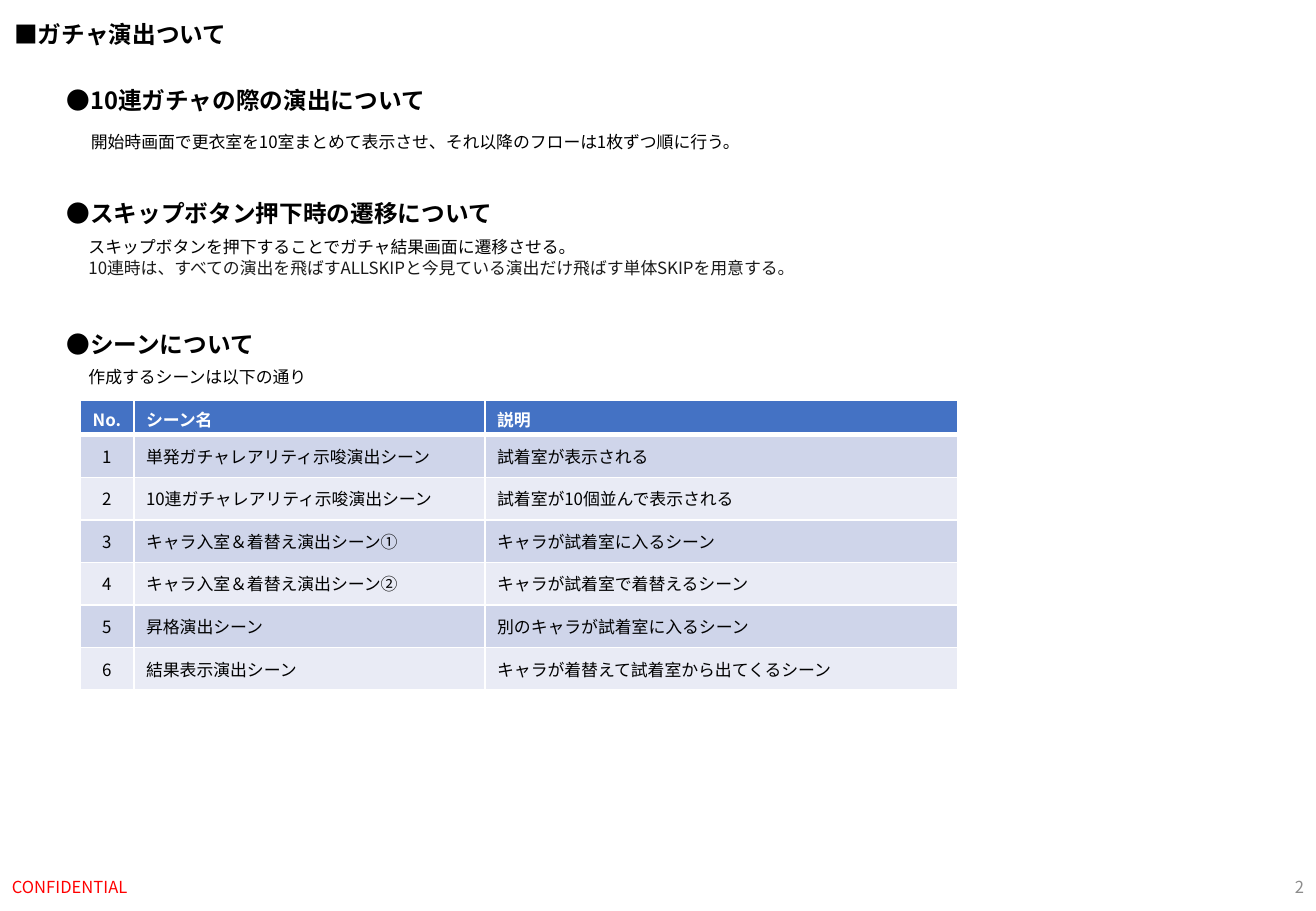
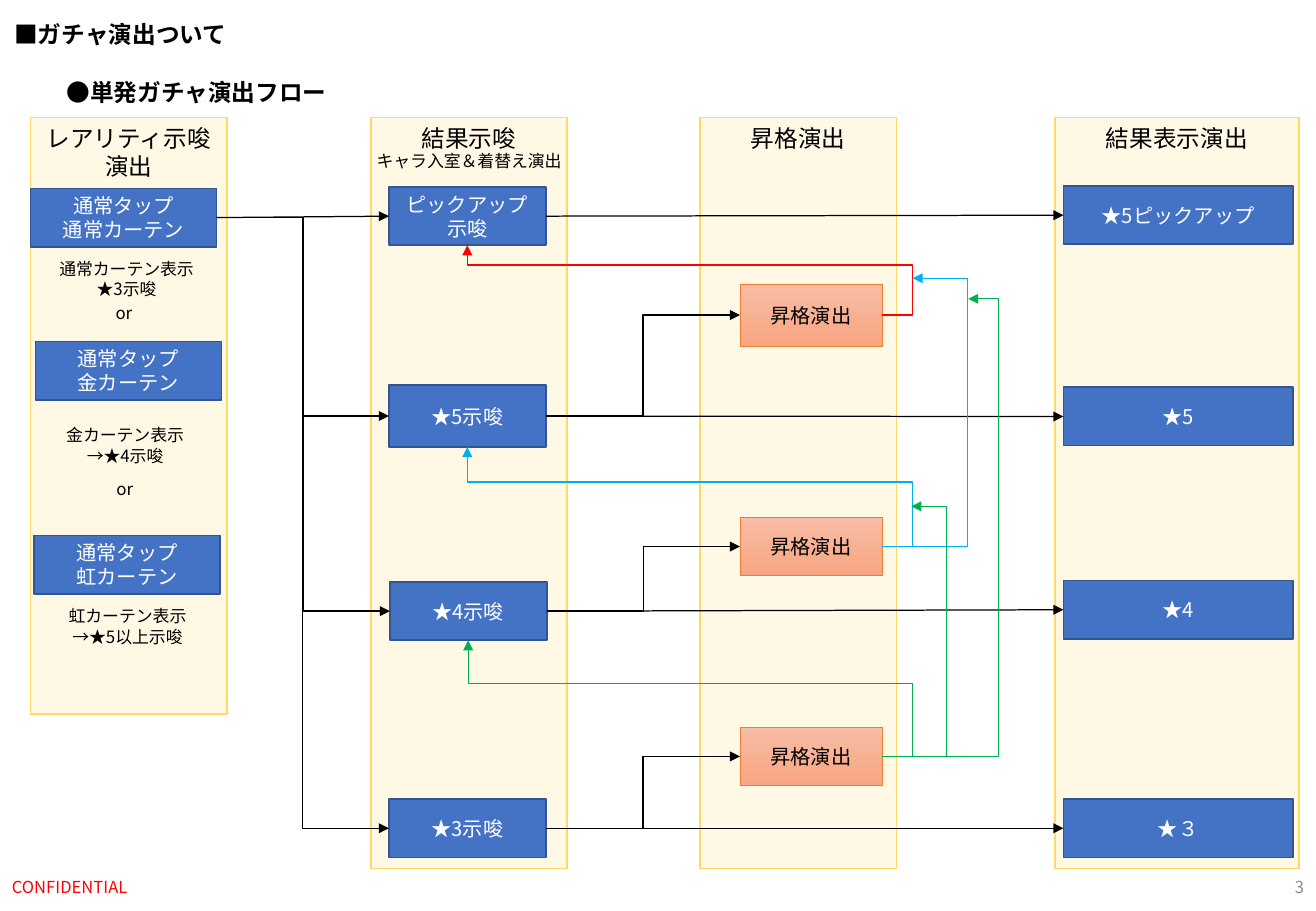
from lxml.etree import SubElement
from pptx import Presentation
from pptx.dml.color import RGBColor
from pptx.enum.shapes import MSO_CONNECTOR as Link, MSO_SHAPE as Preset
from pptx.enum.text import MSO_ANCHOR as Anchor, PP_ALIGN as Align
from pptx.oxml.ns import qn
from pptx.util import Cm, Pt

FONT = "Noto Sans CJK JP"
BLACK = RGBColor(0x00, 0x00, 0x00)
INK = RGBColor(0x1A, 0x1A, 0x1A)
WHITE = RGBColor(0xFF, 0xFF, 0xFF)
GREY = RGBColor(0x8C, 0x8C, 0x8C)
RED = RGBColor(0xFF, 0x00, 0x00)
SKY = RGBColor(0x00, 0xB0, 0xF0)
GREEN = RGBColor(0x00, 0xB0, 0x50)
BLUE = RGBColor(0x44, 0x72, 0xC4)
NAVY = RGBColor(0x32, 0x54, 0x91)
ROW_DARK = RGBColor(0xCF, 0xD5, 0xEA)
ROW_LIGHT = RGBColor(0xE9, 0xEB, 0xF5)
CREAM = RGBColor(0xFF, 0xF2, 0xCC)
GOLD = RGBColor(0xFF, 0xD9, 0x66)
ORANGE = RGBColor(0xED, 0x7D, 0x31)
PEACH = RGBColor(0xF7, 0xBD, 0xA5)
SALMON = RGBColor(0xF8, 0xA5, 0x82)

HEADING = {"size": Pt(14), "bold": True}
BAND_TITLE = {"size": Pt(14)}
BOX_TEXT = {"size": Pt(12)}
BODY = {"size": Pt(10)}
FOOTER = {"size": Pt(9.8)}
TOP, LEFT, BOTTOM, RIGHT = range(4)  # connection sites of a rectangle


def write(frame, text, style, color=BLACK, align=Align.LEFT, anchor=Anchor.TOP):
    """Fill a text frame, one paragraph for each line of text."""
    frame.word_wrap = True
    frame.vertical_anchor = anchor
    frame.text = text
    for paragraph in frame.paragraphs:
        paragraph.alignment = align
        for run in paragraph.runs:
            for key, value in {**style, "name": FONT}.items():
                setattr(run.font, key, value)
            run.font.color.rgb = color
            SubElement(run._r.get_or_add_rPr(), qn("a:ea"), typeface=FONT)


def add_arrow(shapes, start, end, end_site=LEFT, color=BLACK, kind=Link.ELBOW,
              via_x=None, via_y=None):
    """Lead from the right of a box to another box, or to a point in cm."""
    arrow = shapes.add_connector(kind, 0, 0, 0, 0)
    arrow.begin_connect(start, RIGHT)
    if isinstance(end, tuple):
        arrow.end_x, arrow.end_y = map(Cm, end)
    else:
        arrow.end_connect(end, end_site)
    arrow.line.color.rgb = color
    arrow.line.width = Pt(0.75)
    SubElement(arrow.line._get_or_add_ln(), qn("a:tailEnd"), type="triangle")
    properties = arrow._element.spPr
    SubElement(properties, qn("a:effectLst"))

    bends = []
    if via_x is not None:
        bends.append((Cm(via_x) - arrow.begin_x) / (arrow.end_x - arrow.begin_x))
    if via_y is not None:
        bends.append((Cm(via_y) - arrow.begin_y) / (arrow.end_y - arrow.begin_y))
        properties.prstGeom.set("prst", "bentConnector4")
    guides = properties.prstGeom.get_or_add_avLst()
    for number, bend in enumerate(bends, 1):
        SubElement(guides, qn("a:gd"), name=f"adj{number}", fmla=f"val {round(bend * 100000)}")


prs = Presentation()
prs.slide_width, prs.slide_height = Cm(27.51), Cm(19.05)
scenes, flow = [prs.slides.add_slide(prs.slide_layouts[6]) for _ in range(2)]

# Title and footer of every slide
for page, slide in enumerate((scenes, flow), 2):
    for x, y, w, h, text, style, color, align, anchor in (
        (0.05, 0.3, 5.3, 0.86, "■ガチャ演出ついて", HEADING, BLACK, Align.LEFT, Anchor.TOP),
        (0, 18.03, 8.6, 1.02, "CONFIDENTIAL", FOOTER, RED, Align.LEFT, Anchor.MIDDLE),
        (21.79, 18.03, 5.72, 1.02, str(page), FOOTER, GREY, Align.RIGHT, Anchor.MIDDLE),
    ):
        box = slide.shapes.add_textbox(Cm(x), Cm(y), Cm(w), Cm(h))
        write(box.text_frame, text, style, color, align, anchor)

# Headings and body text
for slide, x, y, w, h, text, style in (
    (scenes, 1.14, 1.68, 8.4, 0.86, "●10連ガチャの際の演出について", HEADING),
    (scenes, 1.65, 2.62, 14.8, 1.12,
     "開始時画面で更衣室を10室まとめて表示させ、それ以降のフローは1枚ずつ順に行う。", BODY),
    (scenes, 1.14, 4.04, 13.77, 0.86, "●スキップボタン押下時の遷移について", HEADING),
    (scenes, 1.6, 4.83, 16, 1.12,
     "スキップボタンを押下することでガチャ結果画面に遷移させる。\n"
     "10連時は、すべての演出を飛ばすALLSKIPと今見ている演出だけ飛ばす単体SKIPを用意する。", BODY),
    (scenes, 1.14, 6.78, 13.77, 0.86, "●シーンについて", HEADING),
    (scenes, 1.6, 7.54, 5.4, 0.7, "作成するシーンは以下の通り", BODY),
    (flow, 1.14, 1.5, 6.2, 0.86, "●単発ガチャ演出フロー", HEADING),
):
    box = slide.shapes.add_textbox(Cm(x), Cm(y), Cm(w), Cm(h))
    write(box.text_frame, text, style)
    for skip_detail in box.text_frame.paragraphs[1:]:
        skip_detail.runs[0].font.color.rgb = INK

# Scene list
SCENE_ROWS = (
    ("No.", "シーン名", "説明"),
    ("1", "単発ガチャレアリティ示唆演出シーン", "試着室が表示される"),
    ("2", "10連ガチャレアリティ示唆演出シーン", "試着室が10個並んで表示される"),
    ("3", "キャラ入室＆着替え演出シーン①", "キャラが試着室に入るシーン"),
    ("4", "キャラ入室＆着替え演出シーン②", "キャラが試着室で着替えるシーン"),
    ("5", "昇格演出シーン", "別のキャラが試着室に入るシーン"),
    ("6", "結果表示演出シーン", "キャラが着替えて試着室から出てくるシーン"),
)
scene_table = scenes.shapes.add_table(
    len(SCENE_ROWS), 3, Cm(1.67), Cm(8.38), Cm(18.35), Cm(6.05)).table
for column, width in zip(scene_table.columns, (1.13, 7.34, 9.88)):
    column.width = Cm(width)
for r, scene in enumerate(SCENE_ROWS):
    header = r == 0
    scene_table.rows[r].height = Cm(0.71 if header else 0.89)
    for c, text in enumerate(scene):
        cell = scene_table.cell(r, c)
        write(cell.text_frame, text, {**BODY, "bold": header}, WHITE if header else BLACK,
              Align.LEFT if c else Align.CENTER)
        cell.vertical_anchor = Anchor.MIDDLE
        for side in "LRTB":
            thick = (header and side == "B") or (r == 1 and side == "T")
            border = SubElement(cell._tc.get_or_add_tcPr(), qn(f"a:ln{side}"),
                                w=str(Pt(3 if thick else 1)))
            SubElement(SubElement(border, qn("a:solidFill")), qn("a:srgbClr"), val=str(WHITE))
        cell.fill.solid()
        cell.fill.fore_color.rgb = BLUE if header else ROW_DARK if r % 2 else ROW_LIGHT

# Stage bands of the flow
for x, w, h, title in (
    (22.05, 5.11, 15.7, "結果表示演出"),
    (14.63, 4.11, 15.7, "昇格演出"),
    (7.75, 4.11, 15.7, "結果示唆"),
    (0.64, 4.11, 12.47, "レアリティ示唆演出"),
):
    band = flow.shapes.add_shape(Preset.RECTANGLE, Cm(x), Cm(2.46), Cm(w), Cm(h))
    band.shadow.inherit = False
    band.fill.solid()
    band.fill.fore_color.rgb = CREAM
    tint = band._element.spPr.find(qn("a:solidFill"))[0]
    SubElement(tint, qn("a:alpha"), val="50000")
    band.line.color.rgb = GOLD
    band.line.width = Pt(1)
    write(band.text_frame, title, BAND_TITLE, align=Align.CENTER)

# Boxes of the flow
step = {}
for key, x, y, w, h, text in (
    ("tap", 0.64, 3.94, 3.89, 1.22, "通常タップ\n通常カーテン"),
    ("tap gold", 0.74, 7.14, 3.89, 1.22, "通常タップ\n金カーテン"),
    ("tap rainbow", 0.71, 11.2, 3.89, 1.22, "通常タップ\n虹カーテン"),
    ("hint pickup", 8.13, 3.91, 3.28, 1.22, "ピックアップ示唆"),
    ("hint 5", 8.13, 8.05, 3.28, 1.3, "★5示唆"),
    ("hint 4", 8.15, 12.17, 3.28, 1.22, "★4示唆"),
    ("hint 3", 8.13, 16.71, 3.28, 1.22, "★3示唆"),
    ("promotion 5", 15.47, 5.94, 2.97, 1.3, "昇格演出"),
    ("promotion 4", 15.47, 10.82, 2.97, 1.22, "昇格演出"),
    ("promotion 3", 15.47, 15.21, 2.97, 1.22, "昇格演出"),
    ("result pickup", 22.23, 3.89, 4.8, 1.22, "★5ピックアップ"),
    ("result 5", 22.23, 8.1, 4.8, 1.22, "★5"),
    ("result 4", 22.23, 12.14, 4.8, 1.22, "★4"),
    ("result 3", 22.23, 16.71, 4.8, 1.22, "★３"),
):
    promotion = key.startswith("promotion")
    box = flow.shapes.add_shape(Preset.RECTANGLE, Cm(x), Cm(y), Cm(w), Cm(h))
    box.shadow.inherit = False
    if promotion:
        box.fill.gradient()
        box.fill.gradient_angle = 270
        for stop, color in zip(box.fill.gradient_stops, (PEACH, SALMON)):
            stop.color.rgb = color
    else:
        box.fill.solid()
        box.fill.fore_color.rgb = BLUE
    box.line.color.rgb = ORANGE if promotion else NAVY
    box.line.width = Pt(0.5 if promotion else 1)
    write(box.text_frame, text, BOX_TEXT, BLACK if promotion else WHITE,
          Align.CENTER, Anchor.MIDDLE)
    step[key] = box

# Forward paths
for rank in ("pickup", "5", "4", "3"):
    hint = step[f"hint {rank}"]
    add_arrow(flow.shapes, step["tap"], hint,
              kind=Link.STRAIGHT if rank == "pickup" else Link.ELBOW)
    add_arrow(flow.shapes, hint, step[f"result {rank}"], kind=Link.STRAIGHT)
    if rank != "pickup":
        add_arrow(flow.shapes, hint, step[f"promotion {rank}"])

# Promotions back to a higher hint, then the shortcuts that join them
for rank, higher, color, via_y in (
    ("5", "pickup", RED, 5.54), ("4", "5", SKY, 10.08), ("3", "4", GREEN, 14.3),
):
    add_arrow(flow.shapes, step[f"promotion {rank}"], step[f"hint {higher}"], BOTTOM, color,
              via_x=19.08, via_y=via_y)
for rank, joint, color, via_x in (
    ("4", (19.08, 5.82), SKY, 20.22),
    ("3", (19.05, 10.59), GREEN, 19.79),
    ("3", (20.24, 6.25), GREEN, 20.88),
):
    add_arrow(flow.shapes, step[f"promotion {rank}"], joint, color=color, via_x=via_x)

# Captions of the flow
for x, y, w, h, text in (
    (0.41, 5.28, 4.47, 1.12, "通常カーテン表示\n★3示唆"),
    (1.88, 6.2, 1.42, 0.69, "or"),
    (0.38, 8.76, 4.47, 1.12, "金カーテン表示\n→★4示唆"),
    (1.9, 9.88, 1.42, 0.69, "or"),
    (0.43, 12.55, 4.47, 1.12, "虹カーテン表示\n→★5以上示唆"),
    (7.57, 3.02, 4.47, 0.69, "キャラ入室＆着替え演出"),
):
    caption = flow.shapes.add_textbox(Cm(x), Cm(y), Cm(w), Cm(h))
    write(caption.text_frame, text, BODY, align=Align.CENTER)

prs.save("out.pptx")
